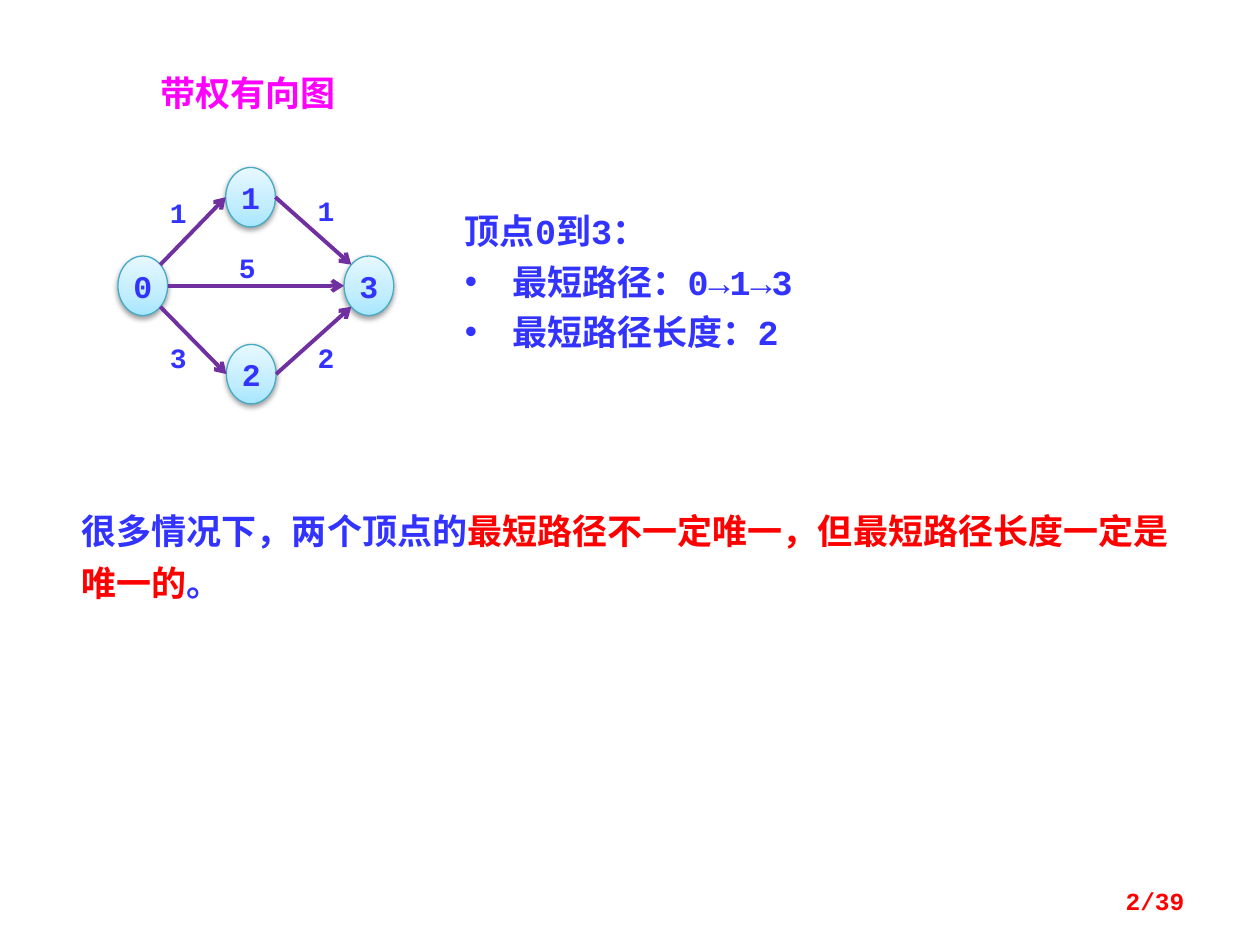
from math import sqrt

from pptx import Presentation
from pptx.dml.color import RGBColor
from pptx.enum import shapes, text
from pptx.oxml import parse_xml
from pptx.oxml.ns import nsdecls, qn
from pptx.util import Pt

COLORS = {"blue": "3333FF", "magenta": "FF00FF", "red": "FF0000",
          "edge": "7030A0", "outline": "46AAC5"}
MONO, CJK = "Courier New", "Noto Sans CJK SC"


def style(paragraph, size, color, latin=MONO):
    """Format every run of a paragraph, with a separate face for Chinese."""
    for run in paragraph.runs:
        run.font.size, run.font.bold, run.font.name = Pt(size), True, latin
        run.font.color.rgb = RGBColor.from_string(COLORS[color])
        run.font._element.find(qn("a:latin")).addnext(
            parse_xml(f'<a:ea {nsdecls("a")} typeface="{CJK}"/>'))


def place(box, left, top, width, height):
    """Move a box and give its text frame a top anchor and wrapping."""
    box.left, box.top, box.width, box.height = map(Pt, (left, top, width, height))
    frame = box.text_frame
    frame.word_wrap = True
    frame.auto_size = text.MSO_AUTO_SIZE.NONE
    frame.vertical_anchor = text.MSO_ANCHOR.TOP
    return frame


prs = Presentation()
prs.slide_width, prs.slide_height = Pt(720), Pt(540)
slide = prs.slides.add_slide(prs.slide_layouts[1])

# Title
heading = place(slide.shapes.title, 84.5, 37.5, 140, 36)
heading.text = "带权有向图"
heading.paragraphs[0].alignment = text.PP_ALIGN.LEFT
style(heading.paragraphs[0], 20, "magenta", CJK)

# Graph vertices, by centre
NODE_W, NODE_H = 28.4, 34
vertices = {"0": (81.6, 163.3), "1": (143.2, 112.7),
            "2": (143.6, 213.8), "3": (210.8, 163.3)}
for label, (x, y) in vertices.items():
    vertex = slide.shapes.add_shape(
        shapes.MSO_SHAPE.OVAL, Pt(x - NODE_W / 2), Pt(y - NODE_H / 2), Pt(NODE_W), Pt(NODE_H))
    properties = vertex._element.spPr
    stops = "".join(f'<a:gs pos="{pos}"><a:srgbClr val="{color}"/></a:gs>' for pos, color in
                    ((0, "A7E6FF"), (35000, "C1EDFF"), (100000, "E7F8FF")))
    properties.find(qn("a:prstGeom")).addnext(parse_xml(
        f'<a:gradFill {nsdecls("a")} rotWithShape="1"><a:gsLst>{stops}</a:gsLst>'
        '<a:lin ang="16200000" scaled="1"/></a:gradFill>'))
    vertex.line.color.rgb = RGBColor.from_string(COLORS["outline"])
    vertex.line.width = Pt(0.75)
    vertex.shadow.inherit = False
    properties.find(qn("a:effectLst")).append(parse_xml(
        f'<a:outerShdw {nsdecls("a")} blurRad="40000" dist="20000" dir="5400000" '
        'rotWithShape="0"><a:srgbClr val="000000"><a:alpha val="38000"/></a:srgbClr>'
        '</a:outerShdw>'))
    vertex.text_frame.text = label
    vertex.text_frame.word_wrap = False
    vertex.text_frame.vertical_anchor = text.MSO_ANCHOR.MIDDLE
    vertex.text_frame.paragraphs[0].alignment = text.PP_ALIGN.CENTER
    style(vertex.text_frame.paragraphs[0], 18, "blue")

# Weighted edges: end directions on the ovals, weight and its box corner
D = 1 / sqrt(2)
edges = [("0", (D, -D), "1", (-1, 0), "1", (90, 108)),
         ("0", (D, D), "2", (-1, 0), "3", (90, 191.2)),
         ("0", (1, 0), "3", (-1, 0), "5", (129.5, 139.7)),
         ("1", (1, 0), "3", (-D, -D), "1", (174.5, 106.8)),
         ("2", (1, 0), "3", (-D, D), "2", (174.5, 191.2))]
for start, leave, end, enter, weight, corner in edges:
    points = [Pt(vertices[node][axis] + direction[axis] * (NODE_W, NODE_H)[axis] / 2)
              for node, direction in ((start, leave), (end, enter)) for axis in (0, 1)]
    edge = slide.shapes.add_connector(shapes.MSO_CONNECTOR.STRAIGHT, *points)
    edge.line.color.rgb = RGBColor.from_string(COLORS["edge"])
    edge.line.width = Pt(2.25)
    edge.line._ln.append(parse_xml(f'<a:tailEnd {nsdecls("a")} type="arrow"/>'))
    edge._element.spPr.append(parse_xml(f'<a:effectLst {nsdecls("a")}/>'))

    weight_box = slide.shapes.add_textbox(0, 0, 0, 0)
    weight_frame = place(weight_box, *corner, 28, 26.6)
    weight_frame.text = weight
    style(weight_frame.paragraphs[0], 16, "blue")

# Shortest path from 0 to 3
answer = place(slide.placeholders[1], 258.5, 116, 214, 108)
answer.text = "顶点0到3：\n最短路径：0→1→3\n最短路径长度：2"
for number, line in enumerate(answer.paragraphs):
    indent = 342900 if number else 0
    line_properties = line._element.get_or_add_pPr()
    line_properties.set("marL", str(indent))
    line_properties.set("indent", str(-indent))
    bullet = '<a:buChar {} char="•"/>' if number else '<a:buNone {}/>'
    line_properties.append(parse_xml(bullet.format(nsdecls("a"))))
    line.space_before = Pt(5 if number else 0)
    style(line, 20, "blue")

# Conclusion
conclusion = place(slide.shapes.add_textbox(0, 0, 0, 0), 39.6, 281.5, 652.3, 66.2)
remark = conclusion.paragraphs[0]
remark.line_spacing = Pt(30)
parts = [("很多情况下，两个顶点的", "blue"),
         ("最短路径不一定唯一，但最短路径长度一定是唯一的", "red"), ("。", "blue")]
for words, color in parts:
    remark.add_run().text = words
style(remark, 20, "blue", "Noto Sans CJK JP")
for run, (words, color) in zip(remark.runs, parts):
    run.font.color.rgb = RGBColor.from_string(COLORS[color])

# Page number
page = place(slide.shapes.add_textbox(0, 0, 0, 0), 516.2, 500.4, 167.8, 28.8)
page.text = "2/39"
page.vertical_anchor = text.MSO_ANCHOR.MIDDLE
page.paragraphs[0].alignment = text.PP_ALIGN.RIGHT
style(page.paragraphs[0], 14, "red")

prs.save("out.pptx")
